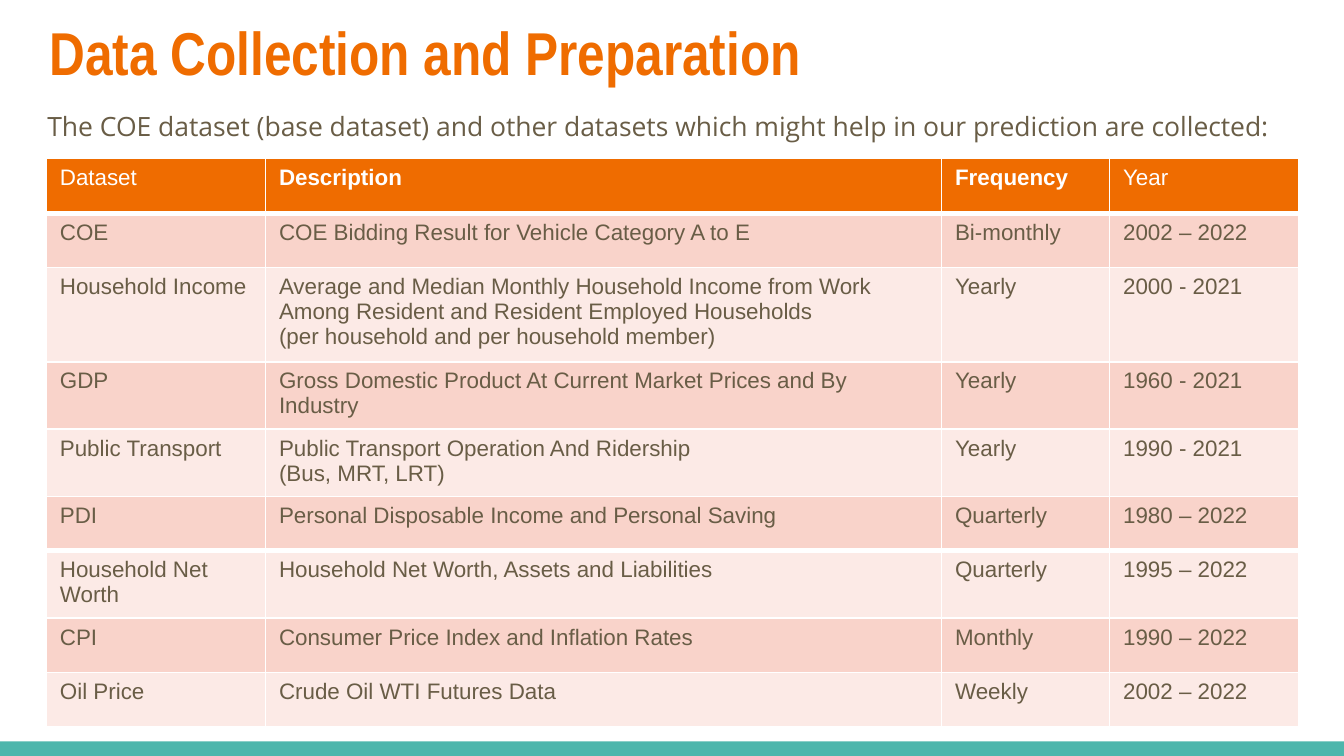
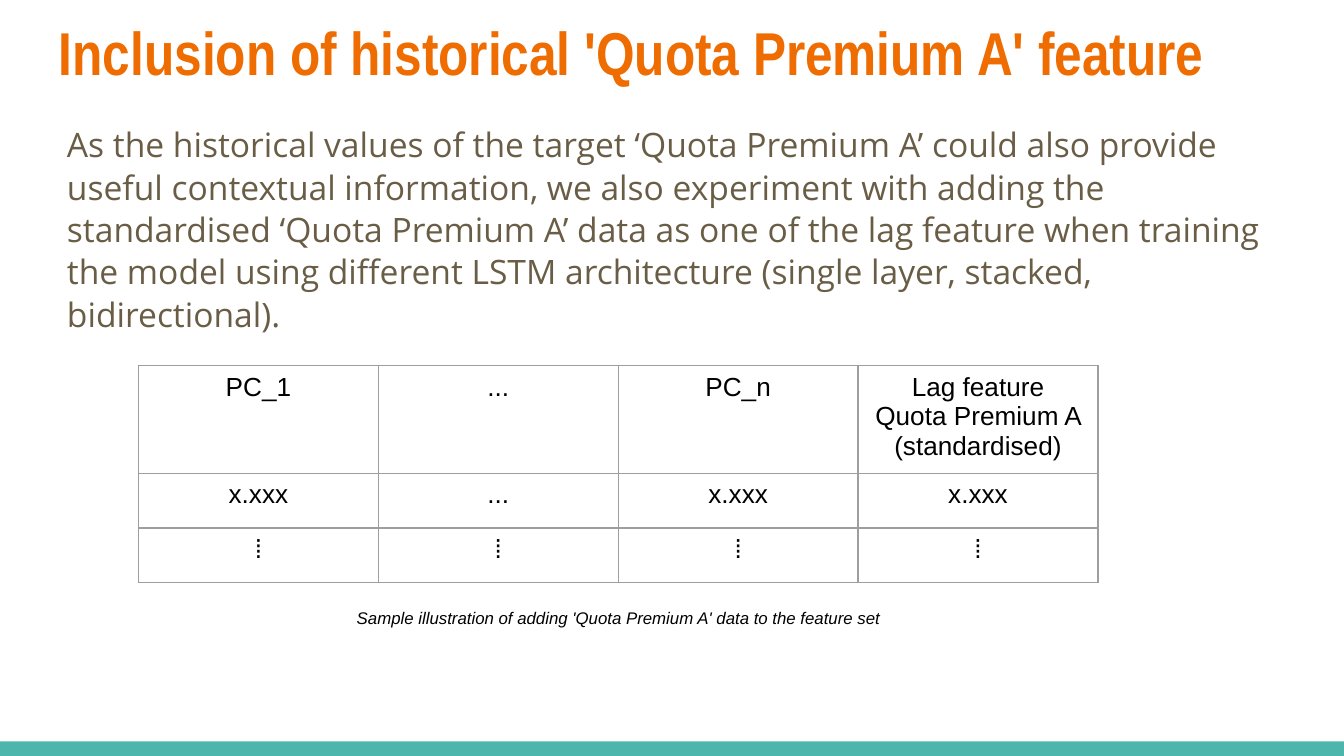
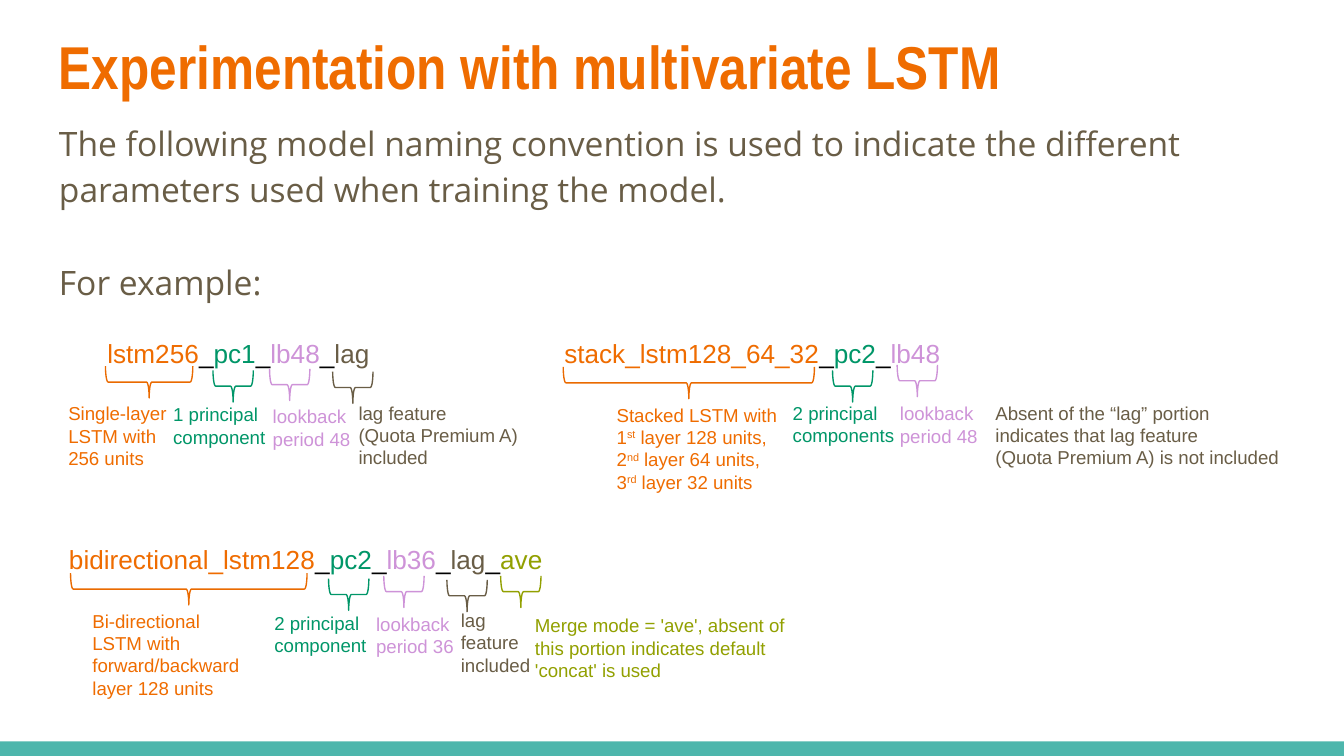
from lxml.etree import SubElement
from pptx import Presentation
from pptx.dml.color import RGBColor as RGB
from pptx.enum.shapes import MSO_SHAPE as SHAPE
from pptx.enum.text import MSO_ANCHOR as ANCHOR, PP_ALIGN as ALIGN
from pptx.oxml.ns import qn
from pptx.util import Pt

# Colours
ORANGE = RGB(0xEF, 0x6C, 0x00)
DARK_ORANGE = RGB(0xEA, 0x6A, 0x00)
TEAL = RGB(0x4D, 0xB6, 0xAC)
BROWN = RGB(0x69, 0x5D, 0x46)
GREEN = RGB(0x00, 0x96, 0x68)
LILAC = RGB(0xCE, 0x93, 0xD8)
OLIVE = RGB(0x92, 0xA0, 0x00)
ROSE = RGB(0xF9, 0xD3, 0xCA)
PALE_ROSE = RGB(0xFC, 0xEA, 0xE6)
GREY = RGB(0x9E, 0x9E, 0x9E)
BLACK = RGB(0, 0, 0)
WHITE = RGB(0xFF, 0xFF, 0xFF)

# Colour of each part of a model name, in order
PART_COLORS = (ORANGE, GREEN, LILAC, BROWN, OLIVE)
BRACE_COLORS = (DARK_ORANGE,) + PART_COLORS[1:]
BRACE_HEIGHT = 17
SMALL_BRACE = 21.6
ROW_HEIGHT = 29.2

DATASETS = [
    ("Dataset", "Description", "Frequency", "Year"),
    ("COE", "COE Bidding Result for Vehicle Category A to E",
     "Bi-monthly", "2002 – 2022"),
    ("Household Income",
     "Average and Median Monthly Household Income from Work Among Resident "
     "and Resident Employed Households\v(per household and per household member)",
     "Yearly", "2000 - 2021"),
    ("GDP", "Gross Domestic Product At Current Market Prices and By Industry",
     "Yearly", "1960 - 2021"),
    ("Public Transport",
     "Public Transport Operation And Ridership\n(Bus, MRT, LRT)",
     "Yearly", "1990 - 2021"),
    ("PDI", "Personal Disposable Income and Personal Saving",
     "Quarterly", "1980 – 2022"),
    ("Household Net Worth", "Household Net Worth, Assets and Liabilities",
     "Quarterly", "1995 – 2022"),
    ("CPI", "Consumer Price Index and Inflation Rates", "Monthly", "1990 – 2022"),
    ("Oil Price", "Crude Oil WTI Futures Data", "Weekly", "2002 – 2022"),
]

FEATURES = [
    ("PC_1", "...", "PC_n", "Lag feature\nQuota Premium A (standardised)"),
    ("x.xxx", "...", "x.xxx", "x.xxx"),
    ("⁞",) * 4,
]

# Each example: name parts, name box (x, y, w), braces (x, y, w),
# notes (text, x, y, w, lines); ^ encloses a superscript
EXAMPLES = [
    (("lstm256", "pc1", "lb48", "lag"), (50.4, 177.1, 156.2),
     [(56.5, 196.2, 46.8), (114.1, 198.4, SMALL_BRACE),
      (144.4, 197.6, SMALL_BRACE), (178.2, 199.1, SMALL_BRACE)],
     [("Single-layer\nLSTM with 256 units", 29.5, 211.9, 72.7, 3),
      ("1 principal component", 85.7, 212.4, 66.3, 2),
      ("lookback period 48", 139, 213.6, 66.3, 2),
      ("lag feature\n(Quota Premium A)\nincluded", 185, 211.5, 109.4, 3)]),
    (("stack_lstm128_64_32", "pc2", "lb48"), (295.2, 177.4, 221.8),
     [(301.7, 196.6, 134.6), (446, 198.4, SMALL_BRACE),
      (480.6, 195.5, SMALL_BRACE)],
     [("Stacked LSTM with 1^st^ layer 128 units,\n2^nd^ layer 64 units,\n"
       "3^rd^ layer 32 units", 323.3, 212.6, 102.2, 4),
      ("2 principal components", 417.6, 211.5, 69.3, 2),
      ("lookback period 48", 475, 211.9, 66.3, 2),
      ("Absent of the “lag” portion indicates that lag feature\n"
       "(Quota Premium A) is not included", 526.2, 211.5, 167.8, 3)]),
    (("bidirectional_lstm128", "pc2", "lb36", "lag", "ave"), (29.9, 287.5, 278.6),
     [(37.8, 307.1, 126.7), (176, 310, SMALL_BRACE), (205.6, 308.5, SMALL_BRACE),
      (239.4, 310.7, SMALL_BRACE), (268.2, 308.5, SMALL_BRACE)],
     [("Bi-directional\nLSTM with forward/backward layer 128 units",
       42.4, 322.9, 104.4, 4),
      ("2 principal component", 139.9, 324.2, 66.3, 2),
      ("lookback period 36", 194.4, 324.7, 66.3, 2),
      ("lag\nfeature\nincluded", 239.8, 322.6, 54.7, 3),
      ("Merge mode = 'ave', absent of this portion indicates default "
       "'concat' is used", 279.5, 325.4, 164.9, 3)]),
]


def set_font(font, name, size, color, bold=False, italic=False):
    font.name, font.size = name, Pt(size)
    font.color.rgb = color
    font.bold, font.italic = bold, italic


def write(tf, text, name, size, color, align=ALIGN.LEFT, spacing=None, **style):
    tf.text = text
    for p in tf.paragraphs:
        p.alignment = align
        if spacing:
            p.line_spacing = spacing
        for r in p.runs:
            set_font(r.font, name, size, color, **style)


def add_box(s, x, y, w, h, inset_y=3.6):
    tf = s.shapes.add_textbox(Pt(x), Pt(y), Pt(w), Pt(h)).text_frame
    tf.word_wrap = True
    tf.margin_left = tf.margin_right = Pt(7.2)
    tf.margin_top = tf.margin_bottom = Pt(inset_y)
    return tf


def add_run(p, text, size, color):
    r = p.add_run()
    r.text = text
    set_font(r.font, "Arial", size, color)
    return r


def add_slide(prs, title, x=24.5, y=0):
    s = prs.slides.add_slide(prs.slide_layouts[6])
    band = s.shapes.add_shape(SHAPE.RECTANGLE, 0, Pt(397.2), prs.slide_width, Pt(7.8))
    band.shadow.inherit = False
    band.fill.solid()
    band.fill.fore_color.rgb = TEAL
    band.line.fill.background()
    tf = add_box(s, x, y, 671, 55.4, 7.2)
    tf.vertical_anchor = ANCHOR.MIDDLE
    write(tf, title, "Arial Narrow", 32.4, ORANGE, bold=True)
    return s


def add_body(s, text, x, y, w, h, size=18, spacing=1.15):
    tf = add_box(s, x, y, w, h, 7.2)
    write(tf, text, "Open Sans", size, BROWN, spacing=spacing)
    return tf


def set_borders(cell, color, left=1, right=1, top=1, bottom=1):
    tc_pr = cell._tc.get_or_add_tcPr()
    for tag, width in zip(("lnL", "lnR", "lnT", "lnB"), (left, right, top, bottom)):
        ln = SubElement(tc_pr, qn(f"a:{tag}"), w=str(Pt(width)))
        fill = SubElement(ln, qn("a:solidFill"))
        SubElement(fill, qn("a:srgbClr"), val=str(color))


def add_table(s, rows, x, y, widths, style_cell):
    frame = s.shapes.add_table(len(rows), len(widths), Pt(x), Pt(y),
                               Pt(sum(widths)), Pt(ROW_HEIGHT * len(rows)))
    table = frame.table
    table.first_row = table.horz_banding = False
    for column, width in zip(table.columns, widths):
        column.width = Pt(width)
    for i, texts in enumerate(rows):
        table.rows[i].height = Pt(ROW_HEIGHT)
        for j, text in enumerate(texts):
            style_cell(table.cell(i, j), text, i, j)


def style_dataset_cell(cell, text, i, j):
    thick_below = (0, 5)
    set_borders(cell, WHITE, top=3 if i - 1 in thick_below else 1,
                bottom=3 if i in thick_below else 1)
    cell.fill.solid()
    cell.fill.fore_color.rgb = ORANGE if i == 0 else ROSE if i % 2 else PALE_ROSE
    write(cell.text_frame, text, "Arial", 12, BROWN if i else WHITE,
          bold=i == 0 and j in (1, 2))


def style_feature_cell(cell, text, i, j):
    set_borders(cell, GREY, 0.75, 0.75, 0.75, 0.75)
    cell.fill.background()
    write(cell.text_frame, text, "Arial", 14, BLACK, ALIGN.CENTER)


def add_brace(s, x, y, w, color):
    """Brace pointing down, spanning w from x: a right brace turned by 90 degrees."""
    h = BRACE_HEIGHT
    brace = s.shapes.add_shape(SHAPE.RIGHT_BRACE, Pt(x + (w - h) / 2),
                               Pt(y + (h - w) / 2), Pt(h), Pt(w))
    brace.rotation = 90
    brace.shadow.inherit = False
    brace.fill.background()
    brace.line.color.rgb = color
    brace.line.width = Pt(0.75)


def add_note(s, text, x, y, w, lines, color):
    tf = add_box(s, x, y, w, 12 * lines + 7.6)
    tf.text = text
    for p in tf.paragraphs:
        pieces = p.text.split("^")
        p.clear()
        for k, piece in enumerate(pieces):
            r = add_run(p, piece, 10, color)
            if k % 2:
                r.font._element.set("baseline", "30000")


def add_example(s, parts, name_box, braces, notes):
    p = add_box(s, *name_box, 24.5).paragraphs[0]
    for k, (part, color) in enumerate(zip(parts, PART_COLORS)):
        if k:
            add_run(p, "_", 14, BLACK)
        add_run(p, part, 14, color)
    for brace, color in zip(braces, BRACE_COLORS):
        add_brace(s, *brace, color)
    for note, color in zip(notes, PART_COLORS):
        add_note(s, *note, color)


def main():
    prs = Presentation()
    prs.slide_width, prs.slide_height = Pt(720), Pt(405)

    # Datasets
    s = add_slide(prs, "Data Collection and Preparation", x=19.4)
    tf = add_body(s, "The COE dataset (base dataset) and other datasets which might "
                  "help in our prediction are collected:", 9.4, 49, 710.6, 40.3, 14.2)
    tf.margin_left = Pt(16)
    add_table(s, DATASETS, 24.9, 85, (117.4, 362.2, 90, 101.5), style_dataset_cell)

    # Lag feature
    s = add_slide(prs, "Inclusion of historical 'Quota Premium A' feature")
    add_body(s, "As the historical values of the target ‘Quota Premium A’ could also "
             "provide useful contextual information, we also experiment with adding "
             "the standardised ‘Quota Premium A’ data as one of the lag feature when "
             "training the model using different LSTM architecture (single layer, "
             "stacked, bidirectional).", 28.8, 58.3, 671, 133.2, spacing=1.05)
    add_table(s, FEATURES, 74.2, 196, (128.5,) * 4, style_feature_cell)
    write(add_box(s, 77.8, 321.8, 506.9, 18),
          "Sample illustration of adding 'Quota Premium A' data to the feature set",
          "Arial", 9, BLACK, ALIGN.CENTER, italic=True)

    # Naming convention
    s = add_slide(prs, "Experimentation with multivariate LSTM", y=7.2)
    tf = add_body(s, "The following model naming convention is used to indicate the "
                  "different parameters used when training the model.\nFor example:",
                  24.5, 55.4, 670.3, 115.2)
    tf.paragraphs[1].space_before = Pt(24.6)
    for example in EXAMPLES:
        add_example(s, *example)

    prs.save("out.pptx")


if __name__ == "__main__":
    main()
